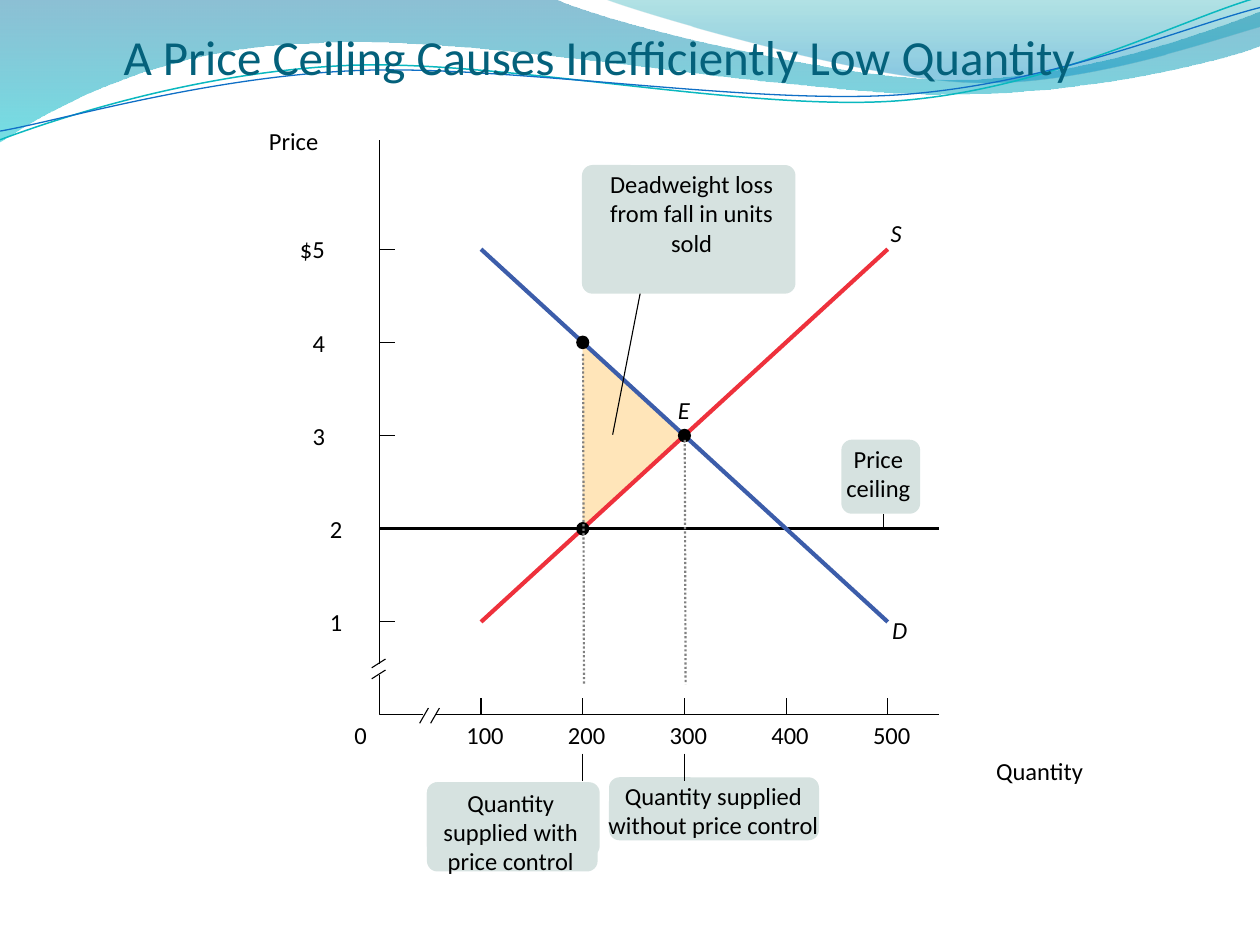
from dataclasses import dataclass
from typing import Optional

import pptx
import pptx.dml.color
import pptx.enum.dml
import pptx.enum.shapes
import pptx.enum.text
import pptx.oxml.ns
import pptx.util
from lxml import etree

Pt = pptx.util.Pt
RGB = pptx.dml.color.RGBColor
ALIGN = pptx.enum.text.PP_ALIGN
SHAPE = pptx.enum.shapes.MSO_SHAPE
qn = pptx.oxml.ns.qn

BLACK = RGB(0x00, 0x00, 0x00)
TITLE = RGB(0x04, 0x61, 0x7B)
PANEL = RGB(0xD6, 0xE2, 0xE0)
PANEL_BACK = RGB(0xD7, 0xE2, 0xE0)
LOSS = RGB(0xFF, 0xE5, 0xB9)
SUPPLY = RGB(0xEE, 0x31, 0x3C)
DEMAND = RGB(0x3C, 0x5D, 0xAA)
GUIDE = RGB(0x80, 0x80, 0x80)
TEAL_LINE = RGB(0x0A, 0xB8, 0xBF)
BLUE_LINE = RGB(0x0F, 0x6F, 0xC6)
DEEP_BLUE = RGB(0x00, 0x74, 0xA1)
AQUA = RGB(0x00, 0xC6, 0xCF)
TEAL = RGB(0x00, 0xA1, 0xA9)
SKY = RGB(0x00, 0x8B, 0xBF)

FONT = "Calibri"
THIN = 0.63
AXIS_X, AXIS_Y, AXIS_END = 216.7, 408.3, 536.4
TICK = 9.3


@dataclass
class Stop:
    position: float
    color: RGB
    alpha: int


@dataclass
class Wave:
    """Each step has two numbers for a straight piece, six for a Bezier piece."""
    start: tuple
    steps: list
    stops: tuple = ()
    line: Optional[RGB] = None
    width: float = 0


@dataclass
class Label:
    text: str
    x: float
    y: float
    w: float
    h: float = 17
    align: ALIGN = ALIGN.LEFT
    wrap: bool = False
    italic: bool = False
    size: float = 14
    color: RGB = BLACK
    anchor: pptx.enum.text.MSO_ANCHOR = pptx.enum.text.MSO_ANCHOR.TOP


@dataclass
class Callout:
    panel: tuple
    text: str
    text_box: tuple


WAVES = [
    Wave((0, 0), [(316.8, -0.7), (342.7, 12.2, 478.1, 45.4, 545.8, 45.4),
                  (614.2, 45.4, 689.8, 18.7, 720, 6.5), (720.7, 25.9),
                  (707.8, 31.7, 626.4, 54.7, 537.1, 54), (447.8, 54, 275, 20.2, 185, 24.5),
                  (92.9, 25.9, 33.1, 59.8, -0.7, 81.4)],
         stops=(Stop(0, DEEP_BLUE, 45), Stop(1, AQUA, 55))),
    Wave((344.9, -0.7), [(366.5, 7.9, 491, 44.6, 553.7, 46.8),
                         (616.3, 49.7, 691.9, 23, 720, 15.1), (720, 0)],
         stops=(Stop(0, TEAL, 30), Stop(0.8, SKY, 45))),
    Wave((0, 79.9), [(34.6, 67, 113.8, 41, 199.4, 37.4), (284.4, 33.8, 427, 64.1, 513.4, 57.6),
                     (599.8, 51.1, 675.4, 10.8, 718.6, -1.4)], line=TEAL_LINE, width=0.85),
    Wave((0, 74.9), [(33.8, 69.1, 118.1, 43.9, 203.8, 40.3), (290.2, 36.7, 429.8, 60.5, 516.2, 54),
                     (601.9, 47.5, 677.5, 15.1, 720, 4.3)], line=BLUE_LINE, width=0.75),
]

CALLOUTS = [
    Callout((332.6, 94.3, 122, 73.5), "Deadweight loss from fall in units sold", (336.2, 96.5, 118, 51)),
    Callout((480.8, 251.3, 45, 42.3), "Price ceiling", (481, 253.7, 41.8, 34)),
    Callout((244, 447, 97.5, 51), "Quantity supplied with price control", (249.8, 450, 84.2, 51)),
    Callout((348, 444.2, 120, 36), "Quantity supplied without price control", (345.8, 446, 123.8, 51)),
]

LABELS = [
    Label("A Price Ceiling Causes Inefficiently Low Quantity", 70.6, 8.6, 628.6, 40.4, wrap=True,
          size=28, color=TITLE, anchor=pptx.enum.text.MSO_ANCHOR.BOTTOM),
    Label("Price", 113.8, 72, 108, align=ALIGN.CENTER, wrap=True),
    Label("Quantity", 490.3, 432, 207.4, align=ALIGN.CENTER, wrap=True),
    Label("0", 202.6, 411.4, 8),
    Label("S", 509, 124.6, 9.4, italic=True),
    Label("D", 509.8, 351.4, 10, italic=True),
    Label("E", 387.4, 226, 9.4, italic=True),
]


def at_quantity(q: float) -> float:
    return 274.9 + 58.1 * (q / 100 - 1)


def at_price(p: float) -> float:
    return 142.4 + 53.25 * (5 - p)


def add_outline(s, points: list, close: bool):
    fb = s.shapes.build_freeform(Pt(points[0][0]), Pt(points[0][1]))
    fb.add_line_segments([(Pt(x), Pt(y)) for x, y in points[1:]], close=close)
    sp = fb.convert_to_shape()
    sp.shadow.inherit = False
    sp.fill.background()
    sp.line.fill.background()
    return sp


def set_line(sp, color: RGB, width: float) -> None:
    sp.line.color.rgb = color
    sp.line.width = Pt(width)


def bend(sp, steps: list) -> None:
    """Join each three straight pieces that belong to a Bezier step into one curve."""
    pieces = iter(list(sp._element.iter(qn("a:lnTo"))))
    for step in steps:
        first = next(pieces)
        if len(step) == 6:
            first.tag = qn("a:cubicBezTo")
            for _ in range(2):
                piece = next(pieces)
                first.append(piece[0])
                piece.getparent().remove(piece)


def add_wave(s, wave: Wave) -> None:
    points = [wave.start]
    for step in wave.steps:
        points += zip(step[::2], step[1::2])
    sp = add_outline(s, points, close=bool(wave.stops))
    bend(sp, wave.steps)
    if wave.line is not None:
        set_line(sp, wave.line, wave.width)
        return
    sp.fill.gradient()
    sp.fill.gradient_angle = 270
    for gs, stop in zip(sp.fill.gradient_stops, wave.stops):
        gs.position = stop.position
        gs.color.rgb = stop.color
    for clr, stop in zip(sp._element.spPr.iter(qn("a:srgbClr")), wave.stops):
        etree.SubElement(clr, qn("a:alpha"), val=str(stop.alpha * 1000))


def add_line(s, x1: float, y1: float, x2: float, y2: float,
             color: RGB = BLACK, width: float = THIN, dotted: bool = False) -> None:
    ln = s.shapes.add_connector(pptx.enum.shapes.MSO_CONNECTOR.STRAIGHT, Pt(x1), Pt(y1), Pt(x2), Pt(y2))
    set_line(ln, color, width)
    if dotted:
        ln.line.dash_style = pptx.enum.dml.MSO_LINE.ROUND_DOT
    etree.SubElement(ln._element.spPr, qn("a:effectLst"))


def add_solid(s, kind: SHAPE, box: tuple, color: RGB):
    sp = s.shapes.add_shape(kind, *map(Pt, box))
    sp.shadow.inherit = False
    sp.fill.solid()
    sp.fill.fore_color.rgb = color
    sp.line.fill.background()
    return sp


def add_panel(s, box: tuple, color: RGB = PANEL) -> None:
    sp = add_solid(s, SHAPE.ROUNDED_RECTANGLE, box, color)
    sp.adjustments[0] = 6 / min(box[2:])


def add_label(s, label: Label) -> None:
    tf = s.shapes.add_textbox(Pt(label.x), Pt(label.y), Pt(label.w), Pt(label.h)).text_frame
    tf.margin_left = tf.margin_right = tf.margin_top = tf.margin_bottom = 0
    tf.word_wrap = label.wrap
    tf.vertical_anchor = label.anchor
    p = tf.paragraphs[0]
    p.alignment = label.align
    r = p.add_run()
    r.text = label.text
    r.font.name = FONT
    r.font.size = Pt(label.size)
    r.font.italic = label.italic
    r.font.color.rgb = label.color


def add_axes(s) -> None:
    """Axes with their breaks, ticks and numbers."""
    add_line(s, AXIS_X, 379.4, AXIS_X, 79.9)
    set_line(add_outline(s, [(241.9, AXIS_Y), (AXIS_X, AXIS_Y), (AXIS_X, 385.9)], False), BLACK, THIN)
    add_line(s, AXIS_END, AXIS_Y, 248.4, AXIS_Y)
    for offset in (0, 6.3):
        add_line(s, 212.4, 381.6 + offset, 220.3, 376.6 + offset)
        add_line(s, 244.8 + offset, 404.6, 239.8 + offset, 413.3)
    for q in range(100, 501, 100):
        x = at_quantity(q)
        add_line(s, x, AXIS_Y - TICK, x, AXIS_Y)
        add_label(s, Label(str(q), x - 8.4, 411.4, 23.8))
    for price, x in ((5, 171.4), (4, 178.6), (3, 178.6), (2, 188.6), (1, 188.6)):
        y = at_price(price)
        if price != 2:
            add_line(s, AXIS_X, y, AXIS_X + TICK, y)
        add_label(s, Label("$5" if price == 5 else str(price), x, y - 8.4, 15.8 if price == 5 else 8))


def main() -> None:
    prs = pptx.Presentation()
    prs.slide_width, prs.slide_height = Pt(720), Pt(540)
    s = prs.slides.add_slide(prs.slide_layouts[6])
    for wave in WAVES:
        add_wave(s, wave)
    add_axes(s)

    low, equal = at_quantity(200), at_quantity(300)
    corners = [(low, at_price(4)), (low, at_price(2)), (equal, at_price(3))]
    loss = add_outline(s, corners, True)
    loss.fill.solid()
    loss.fill.fore_color.rgb = LOSS
    add_line(s, AXIS_X, at_price(2), AXIS_END, at_price(2), width=1.75)
    for color, first, last in ((SUPPLY, 1, 5), (DEMAND, 5, 1)):
        add_line(s, at_quantity(100), at_price(first), at_quantity(500), at_price(last), color, 2.38)
    for x, y in corners:
        add_solid(s, SHAPE.OVAL, (x - 3.75, y - 3.9, 7.5, 7.8), BLACK)

    add_panel(s, (244, 447, 98.7, 42.5), PANEL_BACK)
    for callout in CALLOUTS:
        add_panel(s, callout.panel)
        add_label(s, Label(callout.text, *callout.text_box, align=ALIGN.CENTER, wrap=True))
    add_line(s, 365.8, 167.8, 350.1, 248.4)
    add_line(s, 504.7, 293.6, 504.7, 301)
    for x, top in ((low, 202.3), (equal, 251.3)):
        add_line(s, x, 430.6, x, 446.4)
        add_line(s, x + 0.2, top, x + 0.7, 391, GUIDE, 1.25, dotted=True)
    for label in LABELS:
        add_label(s, label)
    prs.save("out.pptx")


if __name__ == "__main__":
    main()
